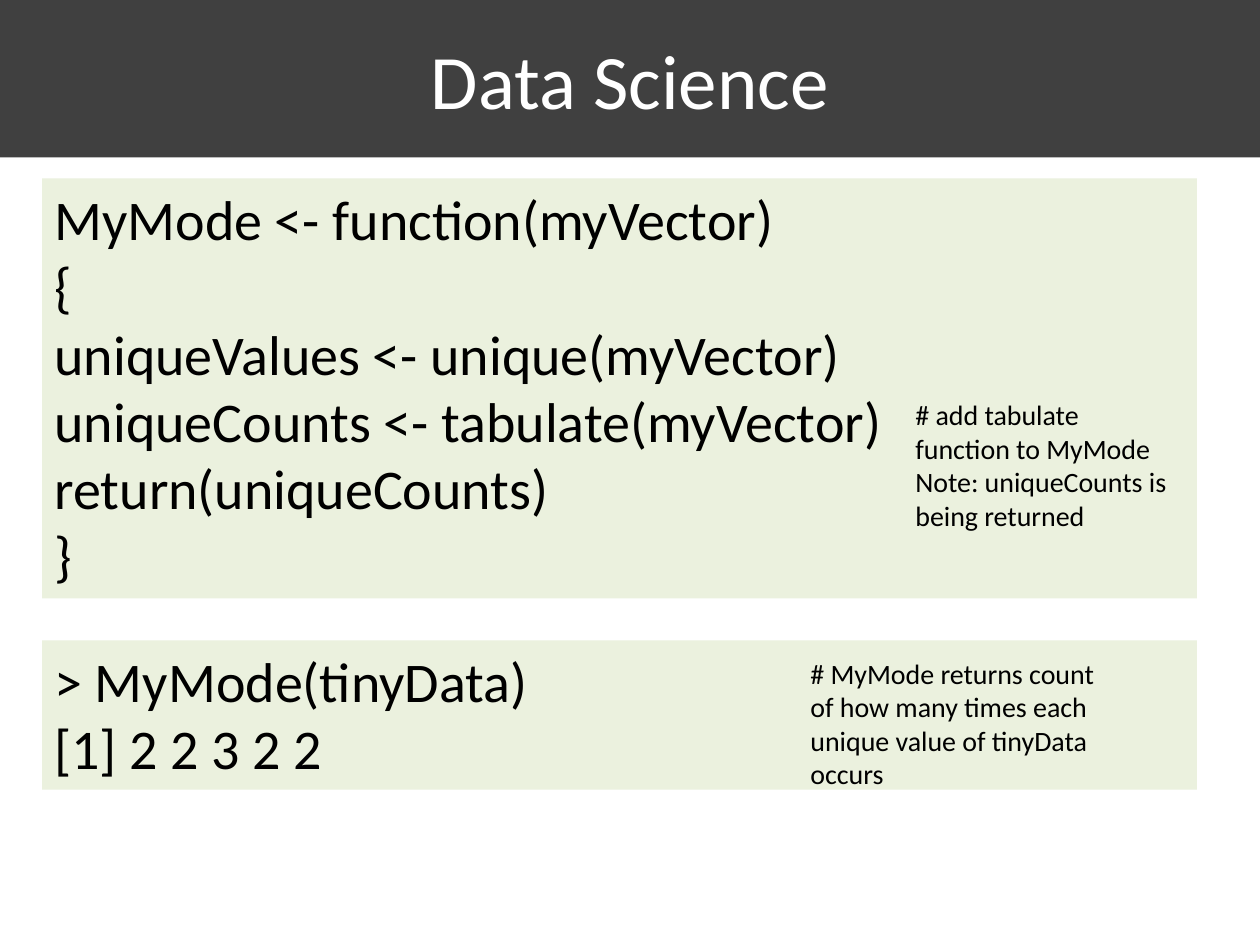
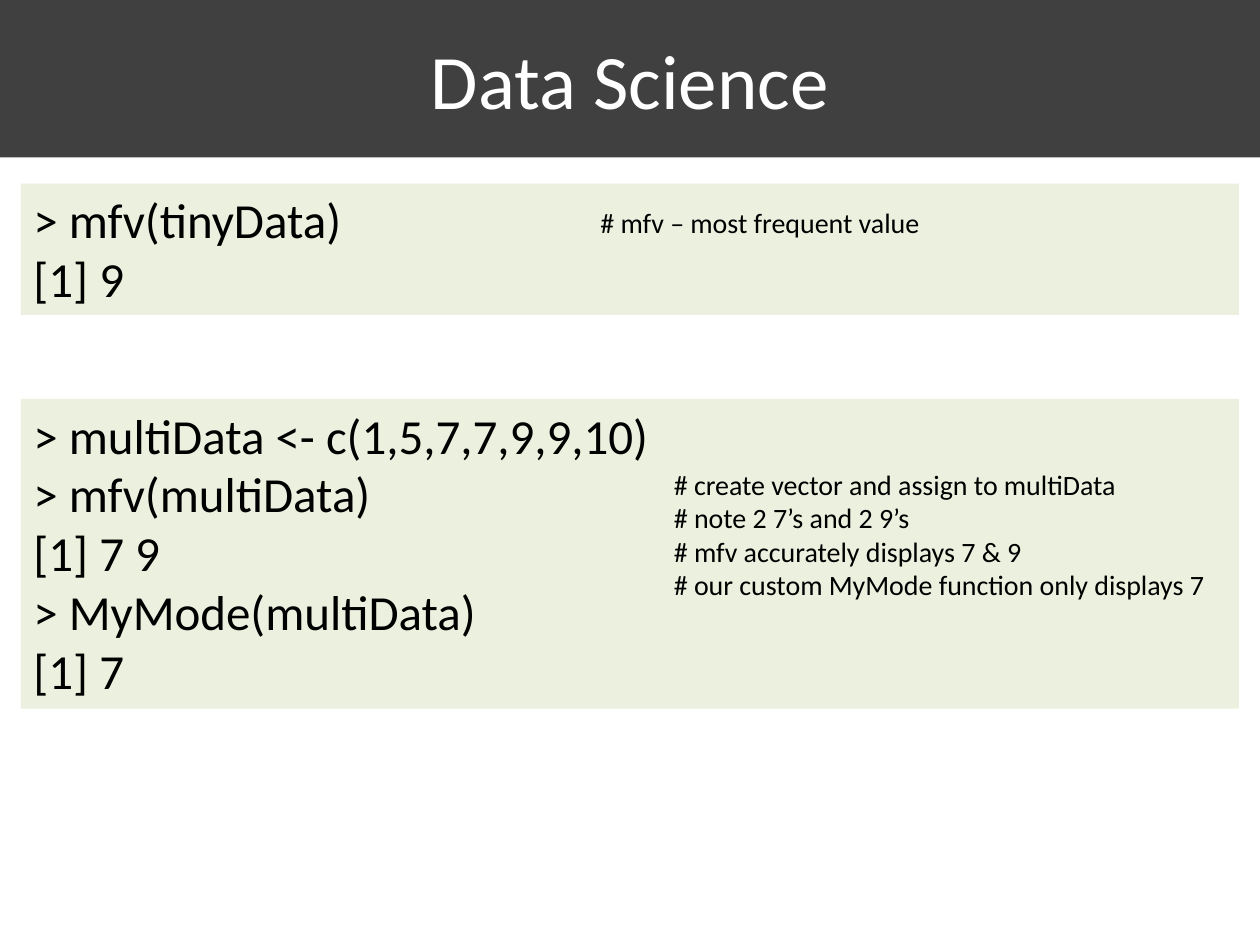
from pptx import Presentation
from pptx.dml.color import RGBColor
from pptx.enum.text import MSO_ANCHOR, MSO_AUTO_SIZE, PP_ALIGN
from pptx.util import Inches, Pt

MIDDLE = MSO_ANCHOR.MIDDLE
GROW = MSO_AUTO_SIZE.SHAPE_TO_FIT_TEXT
CENTER = PP_ALIGN.CENTER
LEFT = PP_ALIGN.LEFT

FONT = "Calibri"
BAND = "404040"
PANEL = "EBF1DE"
WHITE = "FFFFFF"
BLACK = "000000"
NOTE_SIZE = 16
TITLE_ONLY = 5
CELL = Inches(1) / 12


def paint(color_format, color):
    color_format.rgb = RGBColor.from_string(color)


def write(box, grid, lines, size, color, align, fill=None):
    box.left, box.top, box.width, box.height = (round(n * CELL) for n in grid)
    if fill:
        box.fill.solid()
        paint(box.fill.fore_color, fill)
    frame = box.text_frame
    frame.word_wrap = True
    frame.text = "\n".join(lines)
    for para in frame.paragraphs:
        para.alignment = align
        para.font.name = FONT
        para.font.size = Pt(size)
        paint(para.font.color, color)


pages = [
    {
        "code_size": 32,
        "code": [
            ((4, 17, 110, 40), [
                "MyMode <- function(myVector)",
                "{",
                "uniqueValues <- unique(myVector)",
                "uniqueCounts <- tabulate(myVector)",
                "return(uniqueCounts)",
                "}",
            ]),
            ((4, 61, 110, 14.2), ["> MyMode(tinyData)", "[1] 2 2 3 2 2"]),
        ],
        "notes": [
            ((86, 37.3, 27, 14.2), [
                "# add tabulate function to MyMode",
                "Note: uniqueCounts is being returned",
            ]),
            ((76, 61.9, 32, 14.2), [
                "# MyMode returns count of how many times each unique value of tinyData occurs",
            ]),
        ],
    },
    {
        "code_size": 28,
        "code": [
            ((2, 17.5, 116, 12.5), ["> mfv(tinyData)", "[1] 9"]),
            ((2, 38, 116, 29.5), [
                "> multiData <- c(1,5,7,7,9,9,10)",
                "> mfv(multiData)",
                "[1] 7 9",
                "> MyMode(multiData)",
                "[1] 7",
            ]),
        ],
        "notes": [
            ((56, 19, 38, 4.4), ["# mfv – most frequent value"]),
            ((63, 43.9, 55, 14.2), [
                "# create vector and assign to multiData",
                "# note 2 7’s and 2 9’s",
                "# mfv accurately displays 7 & 9",
                "# our custom MyMode function only displays 7",
            ]),
        ],
    },
]

deck = Presentation()
deck.slide_width, deck.slide_height = Inches(10), Inches(7.5)

for content in pages:
    page = deck.slides.add_slide(deck.slide_layouts[TITLE_ONLY])
    title = page.shapes.title
    write(title, (0, 0, 120, 15), ["Data Science"], 44, WHITE, CENTER, BAND)
    title.text_frame.vertical_anchor = MIDDLE
    for group, size, fill in (("code", content["code_size"], PANEL), ("notes", NOTE_SIZE, None)):
        for grid, lines in content[group]:
            box = page.shapes.add_textbox(0, 0, 0, 0)
            write(box, grid, lines, size, BLACK, LEFT, fill)
            box.text_frame.auto_size = GROW

deck.save("out.pptx")
